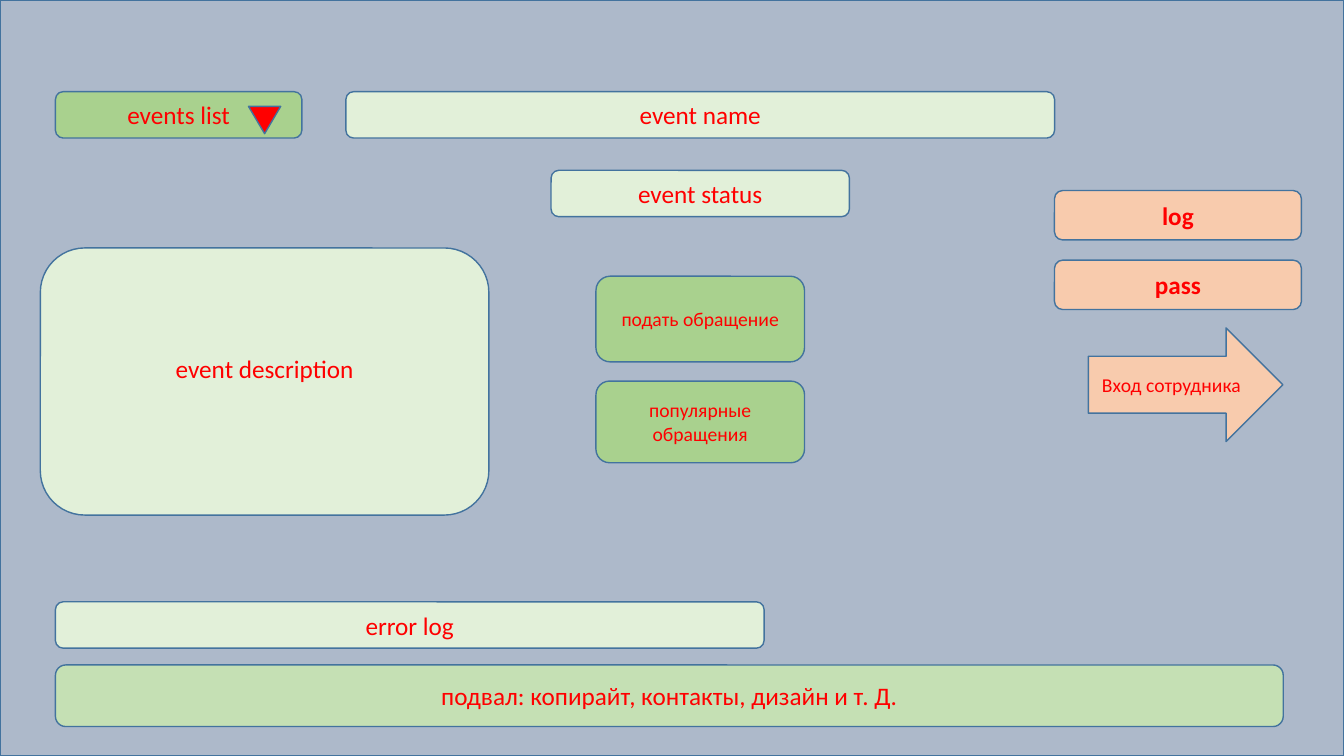
from dataclasses import dataclass

from pptx import Presentation
from pptx.dml.color import RGBColor
from pptx.enum.shapes import MSO_SHAPE
from pptx.enum.text import MSO_ANCHOR, PP_ALIGN
from pptx.shapes.autoshape import Shape
from pptx.slide import Slide
from pptx.util import Pt

WIDE, HIGH = 960, 540
BLUE, RED = "43739E", "FF0000"
PALE, GREEN, LIGHT, PEACH = "E2F0D9", "A9D18E", "C5E0B4", "F8CBAD"

# Shared edges and sizes of the page blocks
LEFT, TOP, BAR = 39.6, 65.5, 33.1
LONG = 506.2
LOGIN, FIELD, STEP = 136.1, 35.3, 49.7
MID = 500.2


@dataclass
class Box:
    x: float
    y: float
    w: float
    h: float
    fill: str
    text: str = ""
    size: int = 18
    bold: bool = False
    kind: MSO_SHAPE = MSO_SHAPE.ROUNDED_RECTANGLE
    turn: int = 0
    foot: float = 3.6


def hue(code: str) -> RGBColor:
    return RGBColor.from_string(code)


def style(item: object, form: dict) -> None:
    for name, value in form.items():
        setattr(item, name, value)


def write(shape: Shape, box: Box) -> None:
    frame = shape.text_frame
    style(frame, {"word_wrap": True, "vertical_anchor": MSO_ANCHOR.MIDDLE,
                  "margin_bottom": Pt(box.foot)})
    line = frame.paragraphs[0]
    line.alignment = PP_ALIGN.CENTER
    run = line.add_run()
    run.text = box.text
    style(run.font, {"name": "Calibri", "size": Pt(box.size), "bold": box.bold})
    run.font.color.rgb = hue(RED)


def draw(slide: Slide, box: Box) -> None:
    shape = slide.shapes.add_shape(
        box.kind, Pt(box.x), Pt(box.y), Pt(box.w), Pt(box.h))
    style(shape, {"rotation": box.turn})
    shape.shadow.inherit = False
    shape.fill.solid()
    shape.fill.fore_color.rgb = hue(box.fill)
    shape.line.color.rgb = hue(BLUE)
    shape.line.width = Pt(1)
    if box.text:
        write(shape, box)


def center(y: float, w: float, h: float, fill: str, text: str, size: int) -> Box:
    return Box(MID - w / 2, y, w, h, fill, text, size)


deck = Presentation()
style(deck, {"slide_width": Pt(WIDE), "slide_height": Pt(HIGH)})
page = deck.slides.add_slide(deck.slide_layouts[6])

boxes = [
    # Page ground
    Box(0, 0, WIDE, HIGH, "ADB9CA", kind=MSO_SHAPE.RECTANGLE),
    # Event list with its drop-down mark
    Box(LEFT, TOP, 176, BAR, GREEN, "events list"),
    Box(177.5, 76, 23, 19.5, RED, kind=MSO_SHAPE.ISOSCELES_TRIANGLE, turn=180),
    # Event details
    Box(28.8, 177.1, 320.4, 190.8, PALE, "event description", foot=22.5),
    center(TOP, LONG, BAR, PALE, "event name", 18),
    center(121.7, 213.1, BAR, PALE, "event status", 18),
    # Request buttons
    center(197.3, 149, 61.2, GREEN, "подать обращение", 14),
    center(272.2, 149, 58.3, GREEN, "популярные обращения", 14),
    # Staff login
    *(Box(753.2, LOGIN + i * STEP, 176.4, FIELD, PEACH, text, bold=True)
      for i, text in enumerate(["log", "pass"])),
    Box(777.4, 234.2, 139, 81.2, PEACH, "Вход сотрудника", 14,
        kind=MSO_SHAPE.RIGHT_ARROW),
    # Error log and page footer
    Box(LEFT, 429.9, LONG, BAR, PALE, "error log"),
    Box(LEFT, 475, 877, 44, LIGHT,
        "подвал: копирайт, контакты, дизайн и т. Д."),
]
for box in boxes:
    draw(page, box)

deck.save("out.pptx")
